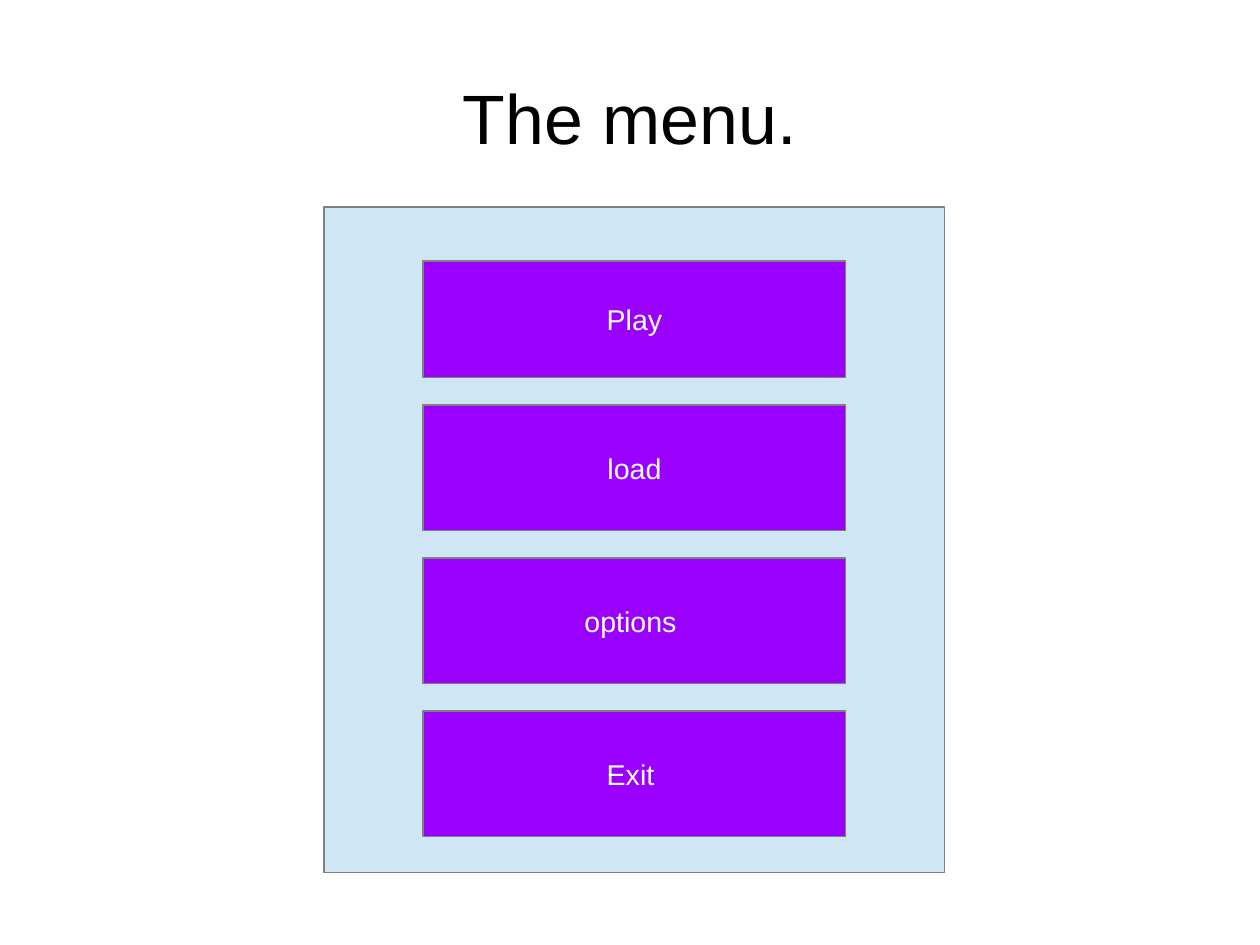
from pptx import Presentation
from pptx.dml.color import RGBColor
from pptx.enum.shapes import MSO_SHAPE
from pptx.enum.text import MSO_ANCHOR, PP_ALIGN
from pptx.util import Cm, Pt

TITLE = "The menu."
BUTTONS = [("Play", 2.6), ("load", 2.8), ("options ", 2.8), ("Exit ", 2.8)]
BUTTON_LEFT, BUTTON_TOP, BUTTON_WIDTH, BUTTON_GAP = 9.4, 5.8, 9.4, 0.6


def color(value):
    return RGBColor.from_string(value)


def add_rect(slide, left, top, width, height, fill):
    sp = slide.shapes.add_shape(
        MSO_SHAPE.RECTANGLE, Cm(left), Cm(top), Cm(width), Cm(height))
    sp.shadow.inherit = False
    sp.fill.solid()
    sp.fill.fore_color.rgb = color(fill)
    sp.line.color.rgb = color("808080")
    sp.line.width = Pt(0)
    return sp


def write(sp, text, size, font_color):
    tf = sp.text_frame
    tf.word_wrap = True
    tf.vertical_anchor = MSO_ANCHOR.MIDDLE
    tf.text = text
    p = tf.paragraphs[0]
    p.alignment = PP_ALIGN.CENTER
    r = p.runs[0]
    r.font.name = "Arial"
    r.font.size = Pt(size)
    r.font.color.rgb = color(font_color)


def main():
    prs = Presentation()
    prs.slide_width, prs.slide_height = Cm(28), Cm(21)
    slide = prs.slides.add_slide(prs.slide_layouts[6])

    title = slide.shapes.add_textbox(Cm(1.4), Cm(0.84), Cm(25.2), Cm(3.5))
    tf = title.text_frame
    tf.margin_left = tf.margin_right = tf.margin_top = tf.margin_bottom = 0
    write(title, TITLE, 44, "000000")

    add_rect(slide, 7.2, 4.6, 13.8, 14.8, "CFE7F5")
    top = BUTTON_TOP
    for label, height in BUTTONS:
        button = add_rect(slide, BUTTON_LEFT, top, BUTTON_WIDTH, height, "9900FF")
        write(button, label, 18, "FFFFFF")
        top += height + BUTTON_GAP

    prs.save("out.pptx")


if __name__ == "__main__":
    main()
